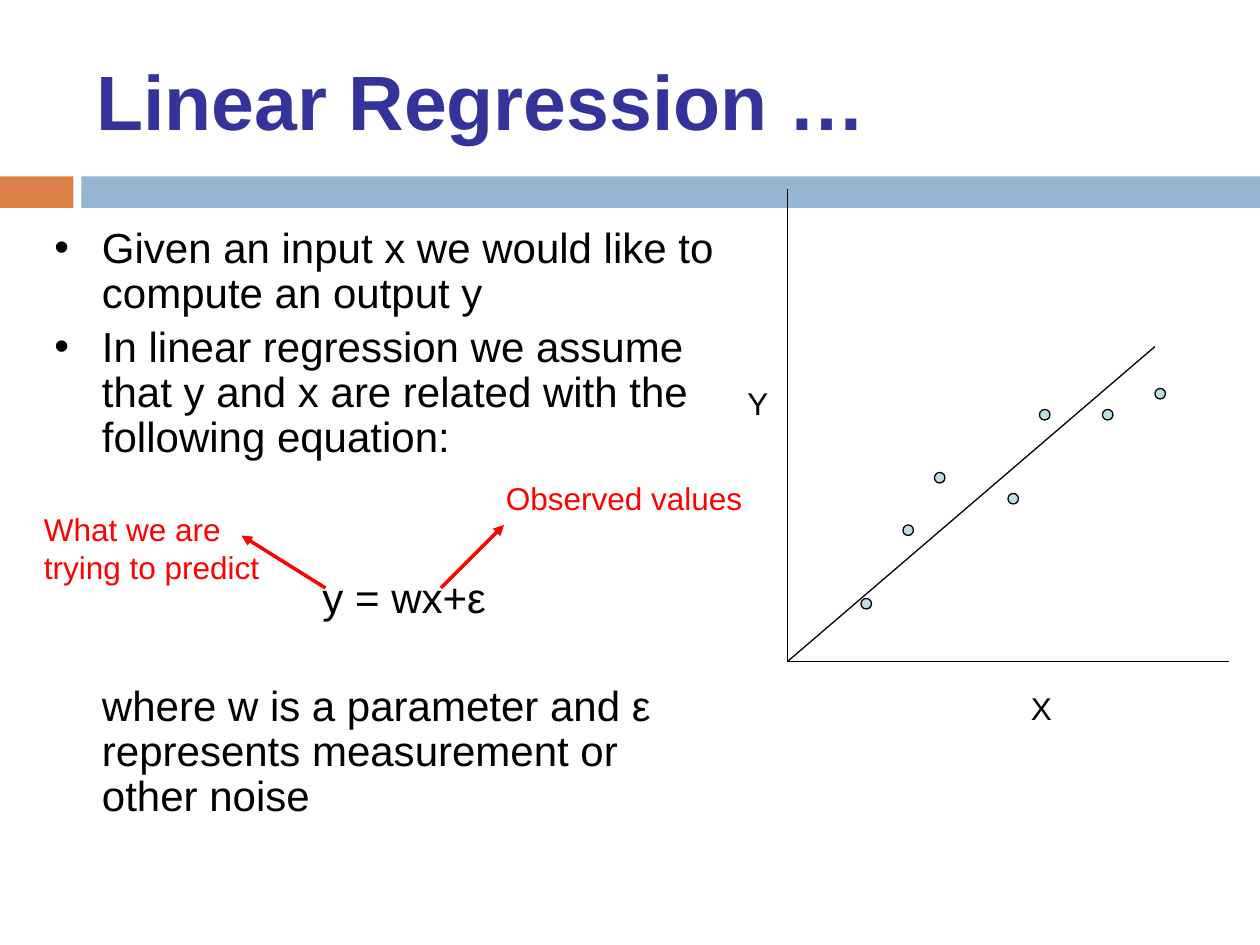
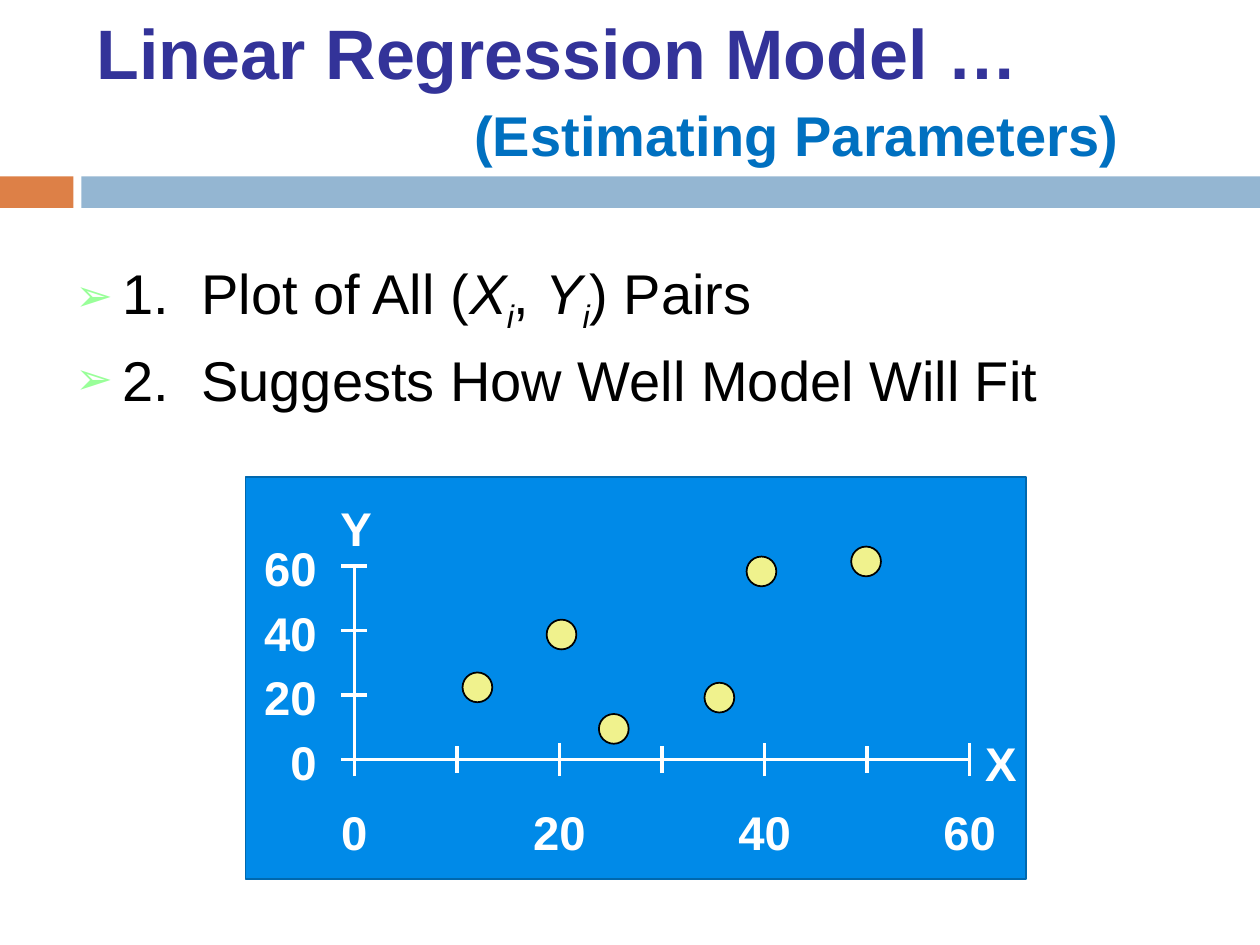
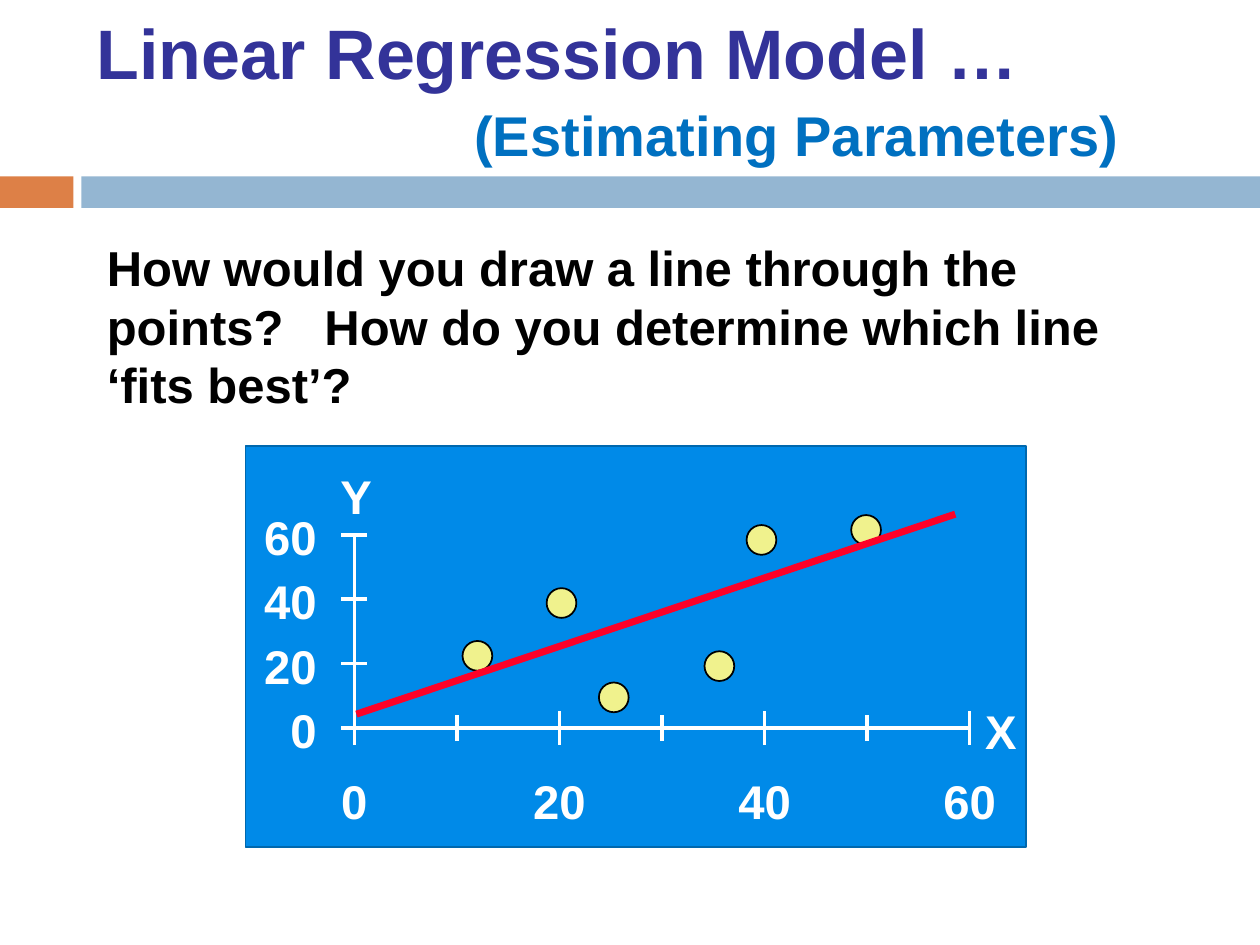
from lxml.etree import SubElement
from pptx import Presentation
from pptx.dml.color import RGBColor
from pptx.enum.shapes import MSO_CONNECTOR, MSO_SHAPE
from pptx.enum.text import MSO_ANCHOR, PP_ALIGN
from pptx.oxml.ns import qn
from pptx.util import Pt

# Shared style
FONT = "Arial"
BLACK, WHITE, RED = "000000", "FFFFFF", "FF0000"
TITLE_BLUE, SUBTITLE_BLUE = "333399", "0070C0"
BAND_ORANGE, BAND_BLUE = "DD8047", "94B6D2"
PANEL_FILL, PANEL_LINE = "008AE8", "0068AE"
BULLET_GREEN, SMALL_DOT, LARGE_DOT = "99FF99", "BBE0E3", "F0F28D"
FIT_RED = "FC0128"

# Sample pairs and fitted line, in axis units
PAIRS = [(12, 22.4), (20.2, 38.8), (25.3, 9.5), (35.6, 19.2), (39.7, 58.4), (49.9, 61.5)]
FIT_LINE = [(0.2, 4.3), (58.6, 66.4)]


def color(code):
    return RGBColor.from_string(code)


# Elements
def add_block(page, kind, left, top, width, height, fill, line=None, weight=1):
    block = page.shapes.add_shape(kind, Pt(left), Pt(top), Pt(width), Pt(height))
    block.shadow.inherit = False
    block.fill.solid()
    block.fill.fore_color.rgb = color(fill)
    if line:
        block.line.color.rgb = color(line)
        block.line.width = Pt(weight)
    else:
        block.line.fill.background()


def add_dot(page, x, y, size, fill, weight):
    add_block(page, MSO_SHAPE.OVAL, x - size / 2, y - size / 2, size, size,
              fill, BLACK, weight)


def add_line(page, start, end, code, weight, arrow=False):
    line = page.shapes.add_connector(
        MSO_CONNECTOR.STRAIGHT, *[Pt(value) for value in (*start, *end)])
    line.line.color.rgb = color(code)
    line.line.width = Pt(weight)
    if arrow:
        SubElement(line.line._get_or_add_ln(), qn("a:tailEnd"), type="triangle")
    SubElement(line._element.spPr, qn("a:effectLst"))


def add_box(page, left, top, width, height, anchor=MSO_ANCHOR.TOP):
    box = page.shapes.add_textbox(Pt(left), Pt(top), Pt(width), Pt(height))
    box.text_frame.word_wrap = True
    box.text_frame.vertical_anchor = anchor
    return box


def add_para(box, before=0, spacing=None, indent=0, hanging=0, align=PP_ALIGN.LEFT):
    frame = box.text_frame
    para = frame.paragraphs[0]
    if para.runs:
        para = frame.add_paragraph()
    para.alignment = align
    para.space_before = Pt(before)
    if spacing:
        para.line_spacing = spacing
    properties = para._p.get_or_add_pPr()
    properties.set("marL", str(Pt(indent)))
    properties.set("indent", str(Pt(-hanging)))
    return para


def add_span(para, text, size, code=BLACK, bold=False, italic=False, **attributes):
    span = para.add_run()
    span.text = text
    span.font.name = FONT
    span.font.size = Pt(size)
    span.font.bold = bold
    span.font.italic = italic
    span.font.color.rgb = color(code)
    for name, value in attributes.items():
        span._r.get_or_add_rPr().set(name, str(value))


def add_bullet(para, character, code=BLACK, percent=100):
    properties = para._p.get_or_add_pPr()
    SubElement(SubElement(properties, qn("a:buClr")), qn("a:srgbClr"), val=code)
    SubElement(properties, qn("a:buSzPct"), val=str(percent * 1000))
    SubElement(properties, qn("a:buFont"), typeface=FONT)
    SubElement(properties, qn("a:buChar"), char=character)


def add_label(page, text, left, top, width, height, size, code=BLACK, bold=False,
              align=PP_ALIGN.LEFT):
    box = add_box(page, left, top, width, height)
    add_span(add_para(box, align=align), text, size, code, bold)


def add_page(deck, title, title_size, title_top, subtitle=None):
    page = deck.slides.add_slide(deck.slide_layouts[6])
    add_block(page, MSO_SHAPE.RECTANGLE, 0, 100.8, 42, 18, BAND_ORANGE)
    add_block(page, MSO_SHAPE.RECTANGLE, 46.5, 100.8, 673.5, 18, BAND_BLUE)
    box = add_box(page, 48, title_top, 642, 78, MSO_ANCHOR.MIDDLE)
    add_span(add_para(box), title, title_size, TITLE_BLUE, bold=True)
    if subtitle:
        add_span(add_para(box, before=4, indent=216), subtitle, 32, SUBTITLE_BLUE, bold=True)
    return page


def add_scatter(page, top, with_fit=False):
    origin_x, origin_y = 202.5, top + 161.25

    def place(x, y):
        return origin_x + 5.86 * x, origin_y - 1.84 * y

    def add_axis_text(text, left, label_top, align=PP_ALIGN.CENTER):
        add_label(page, text, left, label_top, 50, 39.5, 27, WHITE, True, align)

    add_block(page, MSO_SHAPE.RECTANGLE, 140.25, top, 446, 229.5, PANEL_FILL, PANEL_LINE)

    # Axes, ticks and numbers
    add_line(page, place(0, 60), place(0, 0), WHITE, 2)
    add_line(page, place(0, 0), place(60, 0), WHITE, 2)
    for value in range(0, 61, 20):
        x, y = place(0, value)
        add_line(page, (x - 7.5, y), (x + 7.5, y), WHITE, 2)
        add_axis_text(str(value), 138, y - 18.75, PP_ALIGN.RIGHT)
    for value in range(0, 61, 10):
        x, y = place(value, 0)
        major = value % 20 == 0
        reach = 9.5 if major else 7.5
        add_line(page, (x, y + reach), (x, y - reach), WHITE, 2)
        if major:
            add_axis_text(str(value), x - 25, top + 183)
    add_axis_text("X", 547, top + 143.25)
    add_axis_text("Y", 178.5, top + 8.75)

    # Points and fitted line
    for pair in PAIRS:
        add_dot(page, *place(*pair), 17, LARGE_DOT, 1)
    if with_fit:
        add_line(page, *[place(*point) for point in FIT_LINE], FIT_RED, 4)


# Pages
def add_equation_page(deck):
    page = add_page(deck, "Linear Regression …", 44, 18)

    body = add_box(page, 24, 126, 396, 356)
    for text in ("Given an input x we would like to compute an output y",
                 "In linear regression we assume that y and x are related "
                 "with the following equation:"):
        para = add_para(body, 4.8, 0.9, 27.2, 27.2)
        add_bullet(para, "•")
        add_span(para, text, 24)
    for text, before, indent in (
            ("y = wx+ε", 66, 153.2),
            ("where w is a parameter and ε represents measurement or other noise",
             35.6, 27.2)):
        add_span(add_para(body, before, 0.9, indent), text, 24)

    # Sketch of the fitted line
    origin = (450, 378)
    for end in ((702, 378), (450, 108), (660, 198)):
        add_line(page, origin, end, BLACK, 0.75)
    for x, y in ((495, 345), (519, 303), (537, 273), (579, 285),
                 (597, 237), (633, 237), (663, 225)):
        add_dot(page, x, y, 6, SMALL_DOT, 0.75)
    add_label(page, "X", 582, 390, 36, 29, 18)
    add_label(page, "Y", 420, 216, 36, 29, 18)

    # Notes on the equation
    add_label(page, "What we are trying to predict", 18, 288, 139, 50, 18, RED)
    add_label(page, "Observed values", 282, 270, 156, 29, 18, RED)
    add_line(page, (252, 336), (288, 300), RED, 2, arrow=True)
    add_line(page, (186, 336), (138, 306), RED, 2, arrow=True)


def add_model_page(deck):
    return add_page(deck, "Linear Regression Model …", 40, 11.5, "(Estimating Parameters)")


def add_pairs_page(deck):
    page = add_model_page(deck)
    add_scatter(page, 272.75)
    body = add_box(page, 36, 144, 648, 100)

    def add_point(text):
        para = add_para(body, 6.2, indent=27, hanging=27)
        add_bullet(para, "➢", BULLET_GREEN, 80)
        add_span(para, text, 32)
        return para

    plot = add_point("1.\tPlot of All (")
    for name, after in (("X", ", "), ("Y", ") Pairs")):
        add_span(plot, name, 32, italic=True)
        add_span(plot, "i", 32, italic=True, baseline=-25000)
        add_span(plot, after, 32)
    add_point("2.\tSuggests How Well Model Will Fit")


def add_question_page(deck):
    page = add_model_page(deck)
    question = add_para(add_box(page, 54, 132, 616, 108))
    add_span(question, "How would you draw a line through the points?", 28, bold=True)
    add_span(question, " ", 28, bold=True, spc=1560)
    add_span(question, "How do you determine which line ‘fits best’?", 28, bold=True)
    add_scatter(page, 254.75, with_fit=True)


def main():
    deck = Presentation()
    deck.slide_width, deck.slide_height = Pt(720), Pt(540)
    add_equation_page(deck)
    add_pairs_page(deck)
    add_question_page(deck)
    deck.save("out.pptx")


if __name__ == "__main__":
    main()
